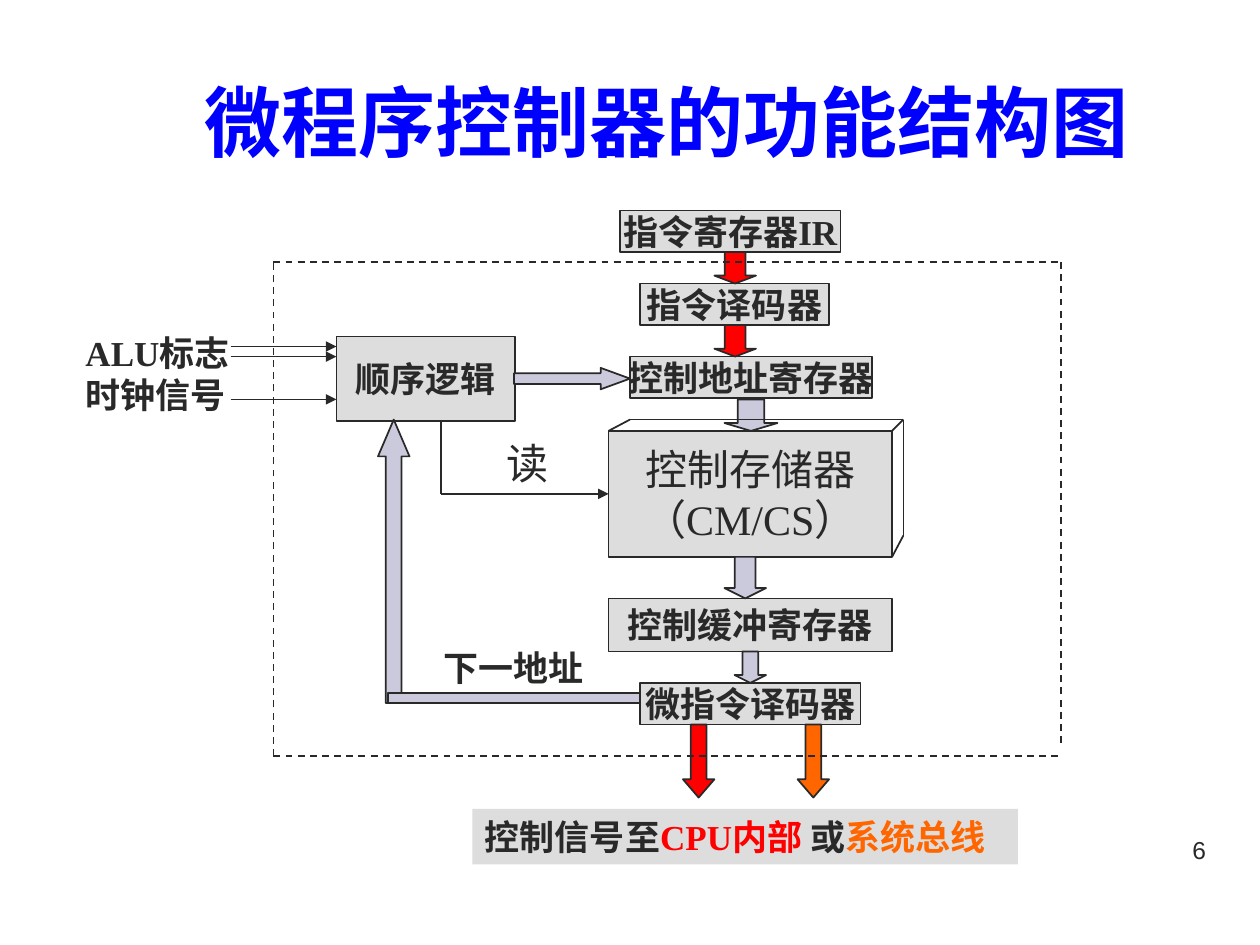
"""Build the slide showing the functional structure of a microprogrammed controller."""
from lxml import etree
from pptx import Presentation
from pptx.dml.color import RGBColor
from pptx.enum.dml import MSO_LINE
from pptx.enum.shapes import MSO_CONNECTOR, MSO_SHAPE as SHAPE
from pptx.enum.text import MSO_ANCHOR as ANCHOR, PP_ALIGN as ALIGN
from pptx.oxml.ns import qn
from pptx.util import Inches, Pt

COLORS = {
    "ink": "292929", "title": "0000FF", "box": "DDDDDD",
    "arrow": "CACADC", "red": "FF0000", "orange": "FF6600",
}

presentation = Presentation()
presentation.slide_width, presentation.slide_height = Inches(10), Inches(7.5)
slide = presentation.slides.add_slide(presentation.slide_layouts[6])


def add_block(kind, bounds, fill, outlined=True):
    shape = slide.shapes.add_shape(kind, *map(Inches, bounds))
    shape.shadow.inherit = False
    shape.fill.solid()
    shape.fill.fore_color.rgb = RGBColor.from_string(COLORS[fill])
    if outlined:
        shape.line.color.rgb = RGBColor.from_string(COLORS["ink"])
        shape.line.width = Pt(1)
    else:
        shape.line.fill.background()
    return shape


def write(shape, lines, size=20, bold=True, align=ALIGN.LEFT, anchor=ANCHOR.TOP,
          wrap=True, font="Times New Roman", color="ink"):
    frame = shape.text_frame
    frame.word_wrap = wrap
    frame.vertical_anchor = anchor
    frame.text = "\n".join(lines)
    for paragraph in frame.paragraphs:
        paragraph.alignment = align
        paragraph.font.name = font
        paragraph.font.size = Pt(size)
        paragraph.font.bold = bold
        paragraph.font.color.rgb = RGBColor.from_string(COLORS[color])


page_number = slide.shapes.add_textbox(*map(Inches, (7.17, 6.58, 2.5, 0.52)))
write(page_number, ["6"], 14, False, ALIGN.RIGHT, font="Arial")
title = slide.shapes.add_textbox(*map(Inches, (0.92, 0.33, 8.75, 1.25)))
write(title, ["微程序控制器的功能结构图"], 44, True, ALIGN.CENTER, ANCHOR.MIDDLE,
      font="Arial", color="title")

boxes = {}
for label, bounds in [
    ("指令寄存器IR", (4.92, 1.67, 1.75, 0.33)),
    ("指令译码器", (5.08, 2.25, 1.5, 0.33)),
    ("控制地址寄存器", (5, 2.83, 1.92, 0.33)),
    ("控制存储器\n（CM/CS）", (4.83, 3.42, 2.25, 1)),
    ("控制缓冲寄存器", (4.83, 4.75, 2.25, 0.42)),
    ("微指令译码器", (5.08, 5.42, 1.75, 0.33)),
    ("顺序逻辑", (2.67, 2.67, 1.42, 0.67)),
]:
    lines = label.split("\n")
    is_memory = len(lines) > 1
    boxes[lines[0]] = add_block(SHAPE.RECTANGLE, bounds, "box")
    write(boxes[lines[0]], lines, 24 if is_memory else 20, not is_memory,
          ALIGN.CENTER, ANCHOR.MIDDLE, wrap=False)

for kind, bounds, fill, head in [
    (SHAPE.RIGHT_ARROW, (4.08, 2.92, 0.92, 0.17), "arrow", 1.37),
    (SHAPE.DOWN_ARROW, (5.67, 2, 0.33, 0.25), "red", 0.25),
    (SHAPE.DOWN_ARROW, (5.67, 2.58, 0.33, 0.25), "red", 0.25),
    (SHAPE.DOWN_ARROW, (5.75, 3.17, 0.42, 0.25), "arrow", 0.25),
    (SHAPE.DOWN_ARROW, (5.75, 4.42, 0.33, 0.33), "arrow", 0.25),
    (SHAPE.DOWN_ARROW, (5.83, 5.17, 0.25, 0.25), "arrow", 0.25),
    (SHAPE.DOWN_ARROW, (5.42, 5.75, 0.25, 0.58), "red", 0.58),
    (SHAPE.DOWN_ARROW, (6.33, 5.75, 0.25, 0.58), "orange", 0.58),
    (SHAPE.UP_ARROW, (3, 3.33, 0.25, 2.25), "arrow", 1.17),
]:
    arrow = add_block(kind, bounds, fill)
    arrow.adjustments[0] = 0.5
    arrow.adjustments[1] = head
add_block(SHAPE.RECTANGLE, (3.08, 5.5, 2, 0.08), "arrow")

for style, points in [
    ("dash", (2.17, 2.08, 8.42, 2.08)),
    ("dash", (8.42, 2.08, 8.42, 5.92)),
    ("dash", (2.17, 6, 8.42, 6)),
    ("dash", (2.17, 6, 2.17, 2.08)),
    ("plain", (3.5, 3.33, 3.5, 3.92)),
    ("read", (3.5, 3.92, 4.83, 3.92)),
    ("head", (1.83, 3.17, 2.67, 3.17)),
    ("head", (1.83, 2.75, 2.67, 2.75)),
    ("head", (1.83, 2.83, 2.67, 2.83)),
    ("plain", (4.83, 3.42, 5, 3.33)),
    ("plain", (5, 3.33, 7.17, 3.33)),
    ("plain", (7.08, 3.42, 7.17, 3.33)),
    ("plain", (7.17, 3.33, 7.17, 4.25)),
    ("plain", (7.08, 4.42, 7.17, 4.25)),
]:
    connector = slide.shapes.add_connector(MSO_CONNECTOR.STRAIGHT, *map(Inches, points))
    connector.line.color.rgb = RGBColor.from_string(COLORS["ink"])
    connector.line.width = Pt(1)
    if style == "dash":
        connector.line.dash_style = MSO_LINE.DASH
    if style == "read":
        connector.end_connect(boxes["控制存储器"], 1)
    if style in ("head", "read"):
        etree.SubElement(connector.line._get_or_add_ln(), qn("a:tailEnd"), type="triangle")
    etree.SubElement(connector._element.spPr, qn("a:effectLst"))

for label, bounds, size, bold in [
    ("读", (3.92, 3.42, 0.83, 0.5), 24, False),
    ("下一地址", (3.42, 5.08, 1.33, 0.44), 20, True),
    ("ALU标志时钟信号", (0.58, 2.58, 1.42, 0.77), 20, True),
]:
    write(slide.shapes.add_textbox(*map(Inches, bounds)), [label], size, bold)

output = add_block(SHAPE.RECTANGLE, (3.75, 6.42, 4.33, 0.44), "box", outlined=False)
write(output, [""])
for text, color in [
    ("控制信号至", "ink"), ("CPU内部", "red"), (" 或", "ink"), ("系统总线", "orange"),
]:
    run = output.text_frame.paragraphs[0].add_run()
    run.text = text
    run.font.color.rgb = RGBColor.from_string(COLORS[color])

presentation.save("out.pptx")
